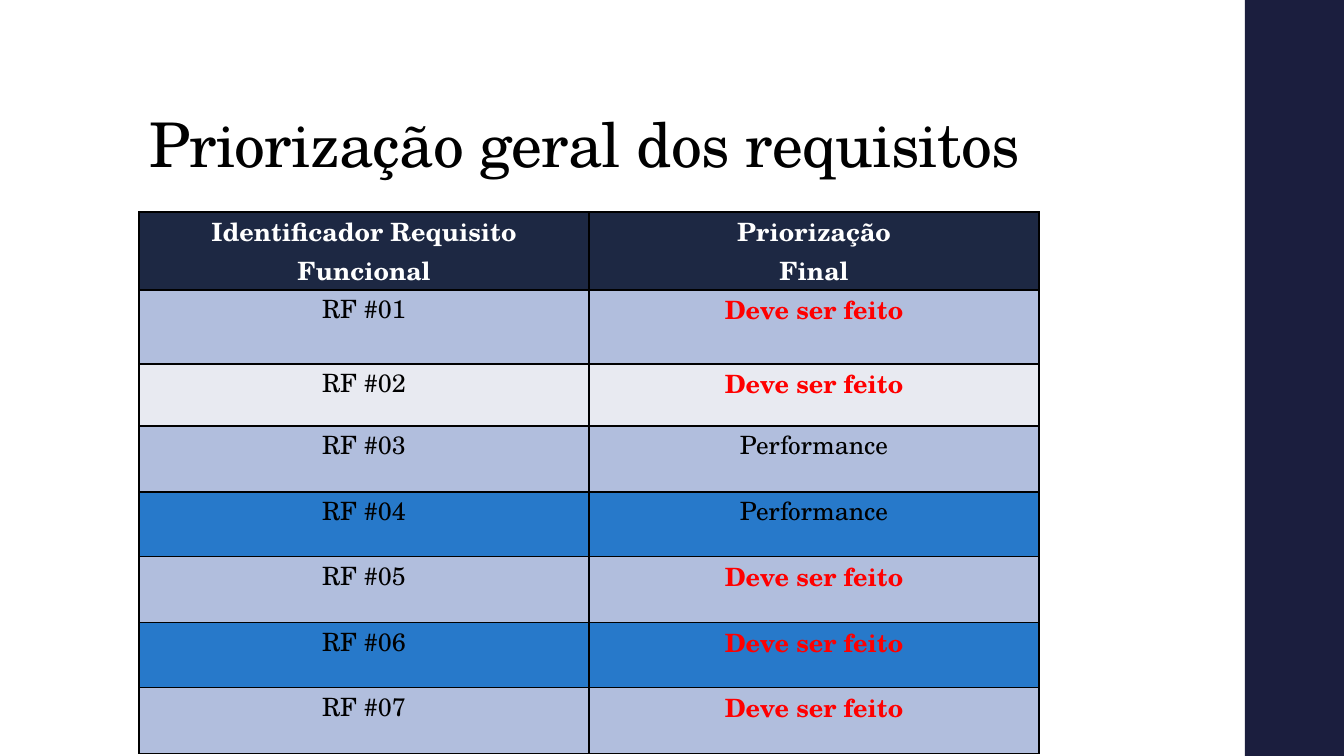
"""Build the slide that lists the final priority of each functional requirement."""
from dataclasses import dataclass

from lxml import etree
from pptx import Presentation
from pptx.dml.color import RGBColor
from pptx.enum.shapes import MSO_SHAPE
from pptx.enum.text import MSO_ANCHOR, MSO_AUTO_SIZE, PP_ALIGN
from pptx.oxml.ns import qn
from pptx.util import Emu, Pt

RECT = MSO_SHAPE.RECTANGLE
TOP, BOTTOM = MSO_ANCHOR.TOP, MSO_ANCHOR.BOTTOM
LEFT, CENTER = PP_ALIGN.LEFT, PP_ALIGN.CENTER
NO_FIT = MSO_AUTO_SIZE.NONE

SLIDE_W, SLIDE_H = 1344, 756
SCALE = 12192000 / SLIDE_W
FONT = "TeX Gyre Schola"
COLORS = {
    "bar": "1B1E3E",
    "header": "1D2843",
    "periwinkle": "B1BEDD",
    "pale": "E8EAF1",
    "blue": "2779CA",
    "white": "FFFFFF",
    "black": "000000",
    "red": "FF0000",
}
TABLE_X, TABLE_Y, COL_W, HEADER_H = 139, 212, 450, 78
MUST, PERFORMANCE = "Deve ser feito", "Performance"


@dataclass(frozen=True)
class Requirement:
    """One body row of the table."""

    priority: str
    fill: str
    height: int


REQUIREMENTS = [
    Requirement(MUST, "periwinkle", 74),
    Requirement(MUST, "pale", 62),
    Requirement(PERFORMANCE, "periwinkle", 66),
    Requirement(PERFORMANCE, "blue", 65),
    Requirement(MUST, "periwinkle", 66),
    Requirement(MUST, "blue", 65),
    Requirement(MUST, "periwinkle", 66),
]


def px(n: int) -> Emu:
    """Turn slide pixels into EMU."""
    return Emu(round(n * SCALE))


def rgb(name: str) -> RGBColor:
    """Look up a named colour."""
    return RGBColor.from_string(COLORS[name])


def style(p, size: int, color: str, bold: bool, align) -> None:
    """Set the font and alignment of a paragraph."""
    p.alignment = align
    p.font.name, p.font.size, p.font.bold = FONT, Pt(size), bold
    p.font.color.rgb = rgb(color)


def add_bar(s) -> None:
    """Draw the dark band along the right edge."""
    sp = s.shapes.add_shape(RECT, px(1245), 0, px(SLIDE_W - 1245), px(SLIDE_H))
    sp.shadow.inherit = False
    sp.fill.solid()
    sp.fill.fore_color.rgb = rgb("bar")
    sp.line.fill.background()


def set_title(s, text: str) -> None:
    """Place and format the title placeholder."""
    sp = s.shapes.title
    sp.left, sp.top, sp.width, sp.height = px(139), px(40), px(1068), px(146)
    tf = sp.text_frame
    tf.text = text
    tf.word_wrap, tf.auto_size, tf.vertical_anchor = True, NO_FIT, BOTTOM
    p = tf.paragraphs[0]
    p.line_spacing = 0.9
    style(p, 44, "black", False, LEFT)
    p.runs[0].font._element.set("spc", "-50")


def add_borders(cell) -> None:
    """Give a cell a thin black line on every side."""
    tc_pr = cell._tc.get_or_add_tcPr()
    for side in ("a:lnL", "a:lnR", "a:lnT", "a:lnB"):
        ln = etree.SubElement(tc_pr, qn(side), w=str(Pt(1)))
        fill = etree.SubElement(ln, qn("a:solidFill"))
        etree.SubElement(fill, qn("a:srgbClr"), val=COLORS["black"])


def fill_cell(cell, text: str, fill: str, color: str, bold: bool) -> None:
    """Write and format one table cell."""
    add_borders(cell)
    cell.fill.solid()
    cell.fill.fore_color.rgb = rgb(fill)
    cell.margin_left = cell.margin_right = px(7)
    cell.margin_top = cell.margin_bottom = 0
    cell.vertical_anchor = TOP
    cell.text_frame.text = text
    for p in cell.text_frame.paragraphs:
        style(p, 18, color, bold, CENTER)


def add_requirements_table(s) -> None:
    """Draw the header and one row per requirement."""
    heights = [HEADER_H] + [req.height for req in REQUIREMENTS]
    table = s.shapes.add_table(
        len(heights), 2, px(TABLE_X), px(TABLE_Y), px(2 * COL_W), px(sum(heights))
    ).table
    for col in table.columns:
        col.width = px(COL_W)
    for row, height in zip(table.rows, heights):
        row.height = px(height)
    for c, text in enumerate(("Identificador Requisito Funcional", "Priorização\nFinal")):
        fill_cell(table.cell(0, c), text, "header", "white", True)
    for i, req in enumerate(REQUIREMENTS, 1):
        must = req.priority == MUST
        fill_cell(table.cell(i, 0), f"RF #{i:02}", req.fill, "black", False)
        fill_cell(table.cell(i, 1), req.priority, req.fill, "red" if must else "black", must)


def main() -> None:
    """Build and save the slide."""
    prs = Presentation()
    prs.slide_width, prs.slide_height = px(SLIDE_W), px(SLIDE_H)
    s = prs.slides.add_slide(prs.slide_layouts[5])
    add_bar(s)
    set_title(s, "Priorização geral dos requisitos")
    add_requirements_table(s)
    prs.save("out.pptx")


if __name__ == "__main__":
    main()
